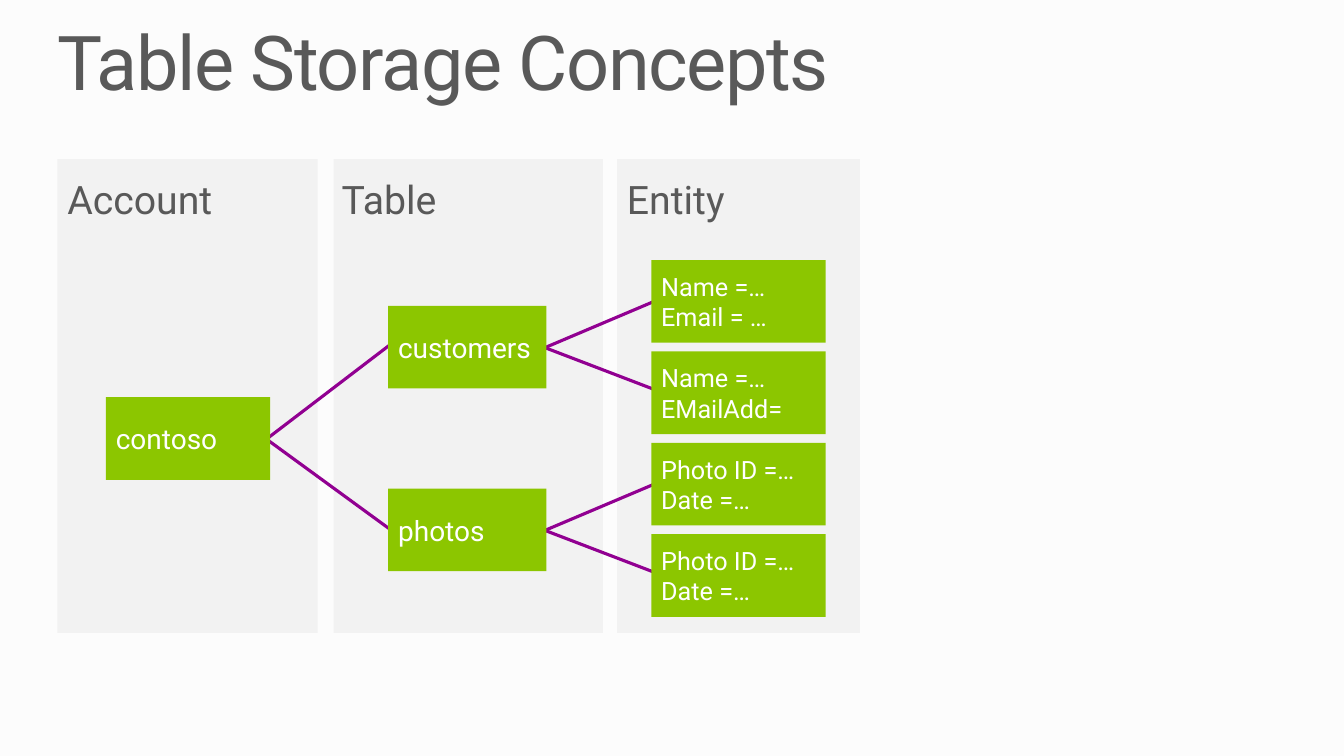
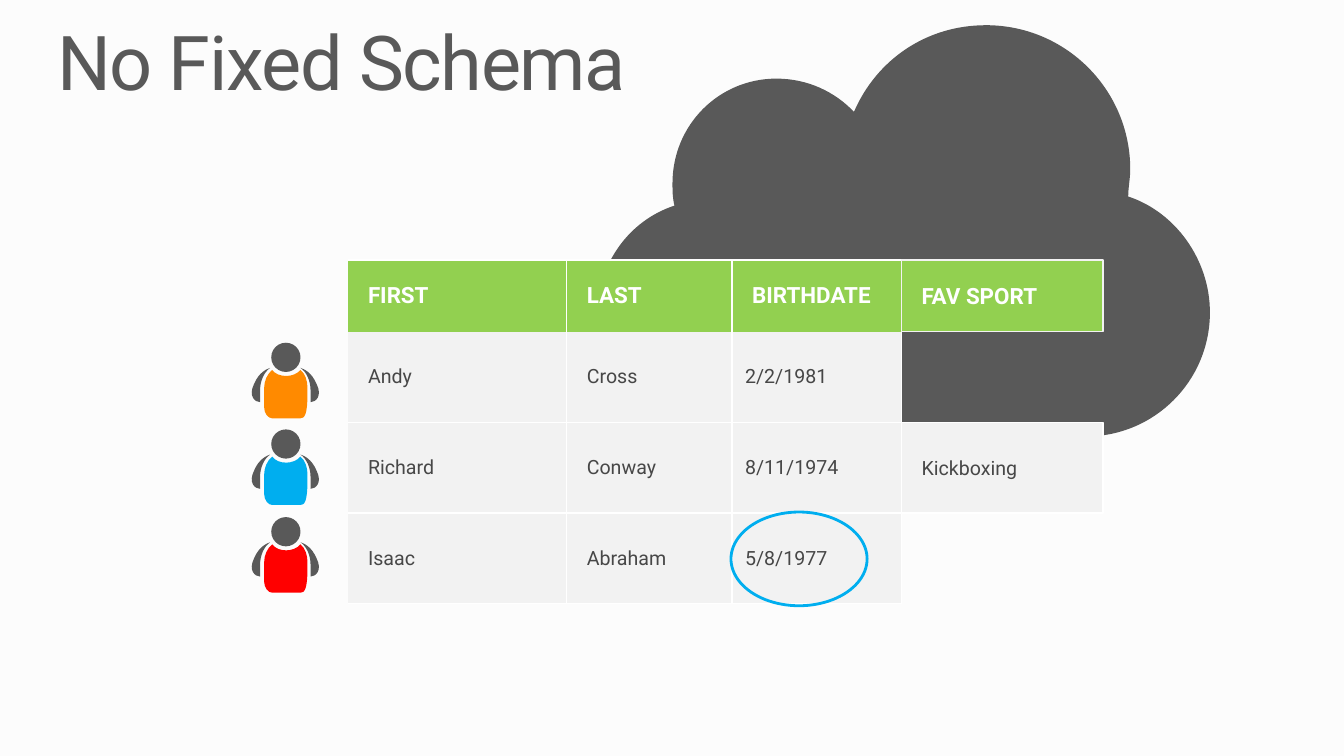
"""Build two slides on table storage: its concepts and its lack of a fixed schema."""
from pptx import Presentation
from pptx.dml.color import RGBColor
from pptx.enum.shapes import MSO_CONNECTOR, MSO_SHAPE
from pptx.enum.text import MSO_ANCHOR, PP_ALIGN
from pptx.oxml.ns import qn
from pptx.util import Inches, Pt
from lxml import etree

RECT, OVAL, LINE = MSO_SHAPE.RECTANGLE, MSO_SHAPE.OVAL, MSO_CONNECTOR.STRAIGHT
TOP, MIDDLE, LEFT = MSO_ANCHOR.TOP, MSO_ANCHOR.MIDDLE, PP_ALIGN.LEFT
PLAIN_TABLE = "{2D5ABB26-0587-4C30-8999-92F81FD0307C}"

PAPER, PALE, WHITE = "FCFCFC", "F2F2F2", "FFFFFF"
GREY, INK, PURPLE, BLUE = "595959", "474747", "910091", "00AEEF"
LEAF, LIME = "8CC600", "92D050"

FONT = "Roboto"
TITLE = {"size": 54, "color": GREY}
PANEL = {"size": 28, "color": GREY}
NODE = {"size": 20, "color": WHITE}
ENTITY = {"size": 18, "color": WHITE}
HEAD = {"size": 16, "color": WHITE, "bold": True}
BODY = {"size": 14, "color": INK, "bold": False}

MARGIN, TITLE_TOP, TITLE_WIDTH = 0.57, 0.25, 12.2
PANELS = [("Entity", 6.12, 6.12, 2.41), ("Table", 3.31, 3.29, 2.67), ("Account", 0.57, 0.57, 2.58)]
PANEL_TOP, PANEL_HEIGHT = 1.58, 4.7
ACCOUNT = "contoso"
TABLES = [
    ("customers", [["Name =…", "Email = …"], ["Name =…", "EMailAdd="]]),
    ("photos", [["Photo ID =…", "Date =…"], ["Photo ID =…", "Date =…"]]),
]
ACCOUNT_SPAN, TABLE_SPAN, ENTITY_SPAN = (1.05, 1.63), (3.85, 1.57), (6.46, 1.73)
NODE_TOP, NODE_HEIGHT = 2.58, 0.82
NODE_PITCH = (5.3 - NODE_TOP) / 3
ACCOUNT_FAN = [(2.47, -0.12, 4.1, 1.07), (2.56, 0.07, 4, -1.03)]
TABLE_FAN = [(5.26, -0.05, 6.67, 0.49), (5.3, 0.05, 6.67, -0.53)]

GRID_LEFT, GRID_TOP = 1.29, 2.58
COLUMNS, ROWS = [2.16, 2.17, 1.64, 1.68], [0.71, 0.9, 0.9, 0.9]
RECORDS = [
    ["", "FIRST", "LAST", "BIRTHDATE"],
    ["", "Andy", "Cross", "2/2/1981"],
    ["", "Richard", "Conway", "8/11/1974"],
    ["", "Isaac", "Abraham", "5/8/1977"],
]
EXTRA_WIDTH = 2
EXTRAS = [(0, "FAV SPORT", HEAD, LIME, PALE), (2, "Kickboxing", BODY, PALE, WHITE)]
CIRCLED = (7.25, 5.08, 1.35, 0.93)

CLOUD = [
    [(11.19, 1.95)],
    [(11.19, 1.86), (11.21, 1.77), (11.21, 1.68)],
    [(11.21, 0.89), (10.57, 0.25), (9.78, 0.25)],
    [(9.18, 0.25), (8.69, 0.6), (8.47, 1.11)],
    [(8.28, 0.91), (8.01, 0.78), (7.7, 0.78)],
    [(7.13, 0.78), (6.67, 1.24), (6.67, 1.82)],
    [(6.67, 1.88), (6.67, 1.97), (6.69, 2.04)],
    [(6.23, 2.19), (5.92, 2.63), (5.92, 3.14)],
    [(5.92, 3.8), (6.45, 4.33), (7.11, 4.33)],
    [(10.77, 4.33)],
    [(11.45, 4.33), (12, 3.78), (12, 3.1)],
    [(12, 2.57), (11.65, 2.1), (11.19, 1.95)],
]
ARM = [
    [(0.22, 0.25)],
    [(0.19, 0.26), (0.11, 0.29), (0.06, 0.41)],
    [(0, 0.53), (0.07, 0.59), (0.12, 0.59)],
    [(0.12, 0.47)],
    [(0.12, 0.38), (0.16, 0.29), (0.22, 0.25)],
]
TORSO = [
    [(0.59, 0.45)],
    [(0.59, 0.38), (0.57, 0.31), (0.52, 0.27)],
    [(0.49, 0.31), (0.43, 0.33), (0.38, 0.33)],
    [(0.32, 0.33), (0.27, 0.31), (0.24, 0.27)],
    [(0.19, 0.31), (0.16, 0.38), (0.16, 0.45)],
    [(0.16, 0.64)],
    [(0.16, 0.7), (0.2, 0.75), (0.24, 0.75)],
    [(0.52, 0.75)],
    [(0.56, 0.75), (0.59, 0.72), (0.59, 0.5)],
]
PEOPLE = [(3.4, "FF8A00"), (4.26, BLUE), (5.13, "FF0000")]
PERSON_LEFT, PERSON_WIDTH = 2.46, 0.74
HEAD_LEFT, HEAD_SIZE = 0.23, 0.29


def rgb(color):
    return RGBColor.from_string(color)


def style_font(font, style):
    formats = {**style, "name": FONT, "size": Pt(style["size"])}
    font.color.rgb = rgb(formats.pop("color"))
    for name, value in formats.items():
        setattr(font, name, value)


def write(frame, lines, style, anchor=MIDDLE, insets=(0.1, 0.05, 0.1, 0.05), spacing=None):
    sides = zip(("left", "top", "right", "bottom"), insets)
    settings = {f"margin_{side}": Inches(inset) for side, inset in sides}
    settings.update(word_wrap=True, vertical_anchor=anchor)
    for name, value in settings.items():
        setattr(frame, name, value)
    for index, line in enumerate(lines):
        para = frame.add_paragraph() if index else frame.paragraphs[0]
        para.alignment, para.line_spacing = LEFT, spacing
        span = para.add_run()
        span.text = line
        style_font(span.font, style)


def paint(shape, fill=None, line=None, width=1):
    shape.shadow.inherit = False
    if fill:
        shape.fill.solid()
        shape.fill.fore_color.rgb = rgb(fill)
    else:
        shape.fill.background()
    if line:
        shape.line.color.rgb = rgb(line)
        shape.line.width = Pt(width)
    else:
        shape.line.fill.background()
    return shape


def add_block(shapes, kind, place, **look):
    return paint(shapes.add_shape(kind, *map(Inches, place)), **look)


def add_page(deck, title, title_height):
    page = deck.slides.add_slide(deck.slide_layouts[6])
    page.background.fill.solid()
    page.background.fill.fore_color.rgb = rgb(PAPER)
    box = page.shapes.add_textbox(*map(Inches, (MARGIN, TITLE_TOP, TITLE_WIDTH, title_height)))
    write(box.text_frame, [title], TITLE, TOP, (0, 0, 0, 0), 0.9)
    box.text_frame.paragraphs[0].runs[0].font._element.set("spc", "-100")
    return page


def add_outline(shapes, segments, fill, left=0, top=0):
    points = [(Inches(left + x), Inches(top + y)) for segment in segments for x, y in segment]
    builder = shapes.build_freeform(*points[0], scale=1.0)
    builder.add_line_segments(points[1:], close=True)
    shape = paint(builder.convert_to_shape(), fill=fill)
    steps = iter(list(shape._element.iter(qn("a:lnTo"))))
    for segment in segments[1:]:
        first, *others = [next(steps) for _ in segment]
        if others:
            first.tag = qn("a:cubicBezTo")
            for step in others:
                first.append(step[0])
                step.getparent().remove(step)
    return shape


def add_panel(page, label, left, label_left, width):
    shapes = page.shapes.add_group_shape().shapes
    add_block(shapes, RECT, (left, PANEL_TOP, width, PANEL_HEIGHT), fill=PALE)
    box = shapes.add_textbox(*map(Inches, (label_left, PANEL_TOP, width, PANEL_HEIGHT / 3)))
    write(box.text_frame, [label], PANEL, TOP, (0.1, 0.27, 0.27, 0.27), 0.9)


def add_node(page, span, row, lines, style):
    place = (span[0], NODE_TOP + row * NODE_PITCH, span[1], NODE_HEIGHT)
    node = add_block(page.shapes, RECT, place, fill=LEAF)
    write(node.text_frame, lines, style)


def add_fan(page, row, fan):
    middle = NODE_TOP + row * NODE_PITCH + NODE_HEIGHT / 2
    for start, rise, end, fall in fan:
        ends = (start, middle + rise, end, middle + fall)
        line = page.shapes.add_connector(LINE, *map(Inches, ends))
        line.line.color.rgb = rgb(PURPLE)
        line.line.width = Pt(2.25)
        etree.SubElement(line._element.spPr, qn("a:effectLst"))


def build_concepts(deck):
    page = add_page(deck, "Table Storage Concepts", 1.64)
    for panel in PANELS:
        add_panel(page, *panel)
    last_row = sum(len(entities) for _, entities in TABLES) - 1
    add_fan(page, last_row / 2, ACCOUNT_FAN)
    add_node(page, ACCOUNT_SPAN, last_row / 2, [ACCOUNT], NODE)
    row = 0
    for name, entities in TABLES:
        middle_row = row + (len(entities) - 1) / 2
        add_fan(page, middle_row, TABLE_FAN)
        add_node(page, TABLE_SPAN, middle_row, [name], NODE)
        for lines in entities:
            add_node(page, ENTITY_SPAN, row, lines, ENTITY)
            row += 1


def add_borders(cell, sides):
    properties = cell._tc.get_or_add_tcPr()
    for side in sides:
        border = etree.SubElement(properties, qn(f"a:ln{side}"), w=str(Pt(1)))
        fill = etree.SubElement(border, qn("a:solidFill"))
        etree.SubElement(fill, qn("a:srgbClr"), val=WHITE)


def fill_cell(cell, text, r, c):
    left, top, bottom = "L" * (c > 1), "T" * (r != 1), "B" * (r > 0)
    add_borders(cell, left + "R" + top + bottom)
    cell.fill.solid()
    cell.fill.fore_color.rgb = rgb(PALE if r else LIME)
    side = 0.13 if r and c == len(COLUMNS) - 1 else 0.2
    cell.vertical_anchor = MIDDLE
    cell.margin_left = cell.margin_right = Inches(side)
    span = cell.text_frame.paragraphs[0].add_run()
    span.text = text
    style_font(span.font, BODY if r else HEAD)


def add_records(page):
    place = (GRID_LEFT, GRID_TOP, sum(COLUMNS), sum(ROWS))
    frame = page.shapes.add_table(len(ROWS), len(COLUMNS), *map(Inches, place))
    table = frame.table
    table.first_row = table.horz_banding = False
    next(frame._element.iter(qn("a:tableStyleId"))).text = PLAIN_TABLE
    for column, width in zip(table.columns, COLUMNS):
        column.width = Inches(width)
    for row, height in zip(table.rows, ROWS):
        row.height = Inches(height)
    for r, record in enumerate(RECORDS):
        for c, text in enumerate(record):
            if text:
                fill_cell(table.cell(r, c), text, r, c)
            else:
                table.cell(r, c).fill.background()


def add_person(page, top, shirt):
    shapes = page.shapes.add_group_shape().shapes
    mirrored = [[(PERSON_WIDTH - x, y) for x, y in segment] for segment in ARM]
    for segments, fill in ((ARM, GREY), (mirrored, GREY), (TORSO, shirt)):
        add_outline(shapes, segments, fill, PERSON_LEFT, top)
    add_block(shapes, OVAL, (PERSON_LEFT + HEAD_LEFT, top, HEAD_SIZE, HEAD_SIZE), fill=GREY)


def build_schema(deck):
    page = add_page(deck, "No Fixed Schema", 0.82)
    add_outline(page.shapes, CLOUD, GREY)
    add_records(page)
    add_block(page.shapes, OVAL, CIRCLED, line=BLUE, width=2)
    for row, text, style, fill, line in EXTRAS:
        place = (GRID_LEFT + sum(COLUMNS), GRID_TOP + sum(ROWS[:row]), EXTRA_WIDTH, ROWS[row])
        extra = add_block(page.shapes, RECT, place, fill=fill, line=line)
        write(extra.text_frame, [text], style, insets=(0.2, 0.05, 0.1, 0.05))
    for top, shirt in PEOPLE:
        add_person(page, top, shirt)


def main():
    deck = Presentation()
    deck.slide_width, deck.slide_height = Inches(13.33), Inches(7.5)
    build_concepts(deck)
    build_schema(deck)
    deck.save("out.pptx")


if __name__ == "__main__":
    main()
